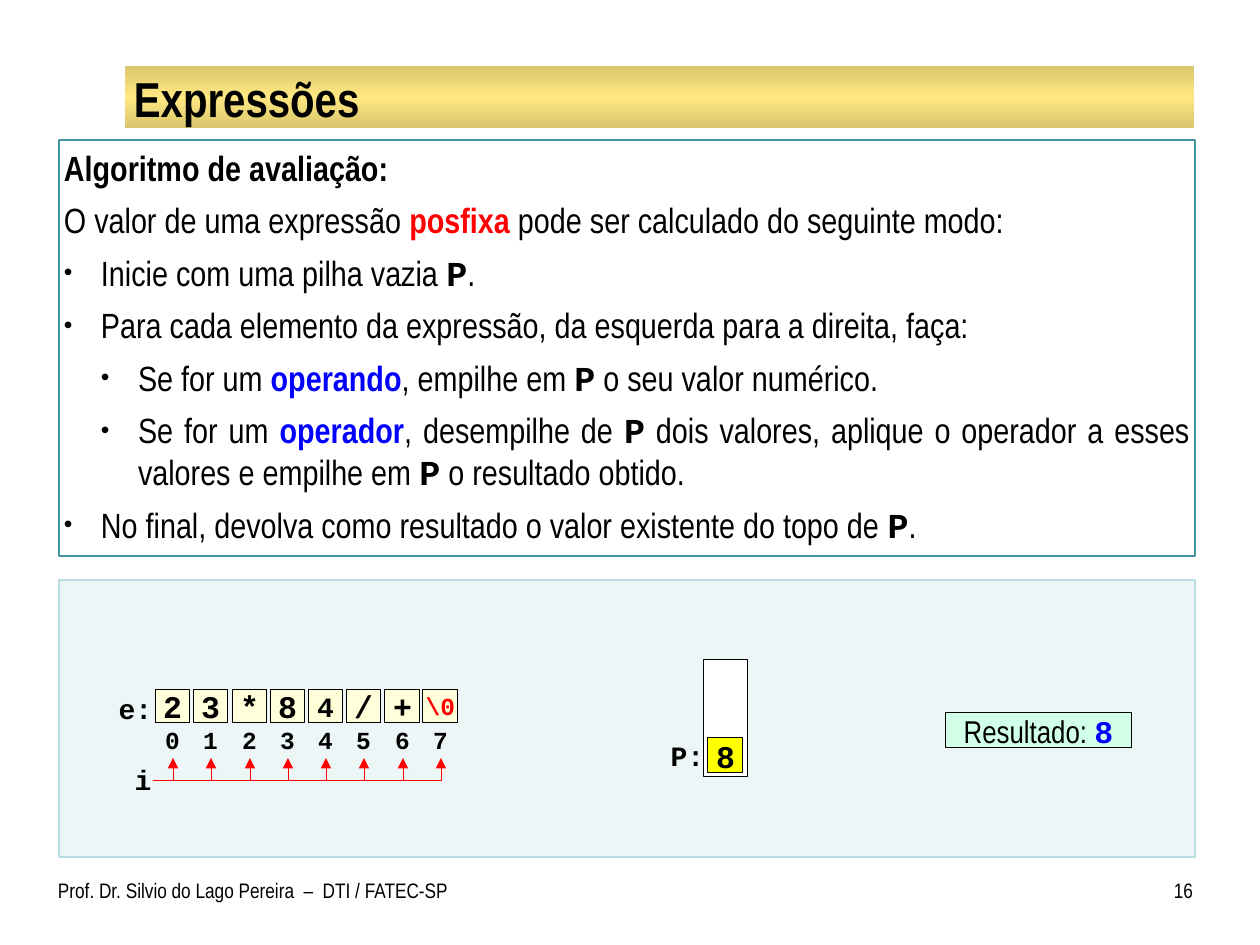
"""Build the slide on evaluating postfix expressions with a stack."""
from dataclasses import dataclass
from typing import Optional

from lxml.etree import SubElement
from pptx import Presentation
from pptx.dml.color import RGBColor
from pptx.enum.shapes import MSO_CONNECTOR, MSO_SHAPE
from pptx.enum.text import MSO_ANCHOR, MSO_AUTO_SIZE, PP_ALIGN
from pptx.oxml import parse_xml
from pptx.oxml.ns import nsdecls, qn
from pptx.util import Emu, Pt

PX = 914400 // 126
NARROW, MONO = "Arial Narrow", "Courier New"
COLORS = {
    "black": "000000", "white": "FFFFFF", "red": "FF0000", "blue": "0000FF",
    "gold": "DAC66E", "light_gold": "FFE781", "teal": "4597A0",
    "panel": "EDF6F7", "panel_edge": "BADDE1", "cell": "FFFFD9",
    "top": "FFFF00", "result": "D1FFE8",
}


@dataclass(frozen=True)
class Span:
    text: str
    size: int = 20
    font: str = NARROW
    color: str = "black"
    bold: bool = False


@dataclass(frozen=True)
class Step:
    spans: tuple[Span, ...]
    margin: int = 0
    hanging: int = 0


@dataclass(frozen=True)
class Box:
    left: int
    top: int
    width: int
    height: int
    fill: Optional[str] = None
    line: Optional[str] = None
    weight: float = 0.5


def px(*lengths: int) -> list[Emu]:
    return [Emu(length * PX) for length in lengths]


def rgb(name: str) -> RGBColor:
    return RGBColor.from_string(COLORS[name])


def code(text: str, size: int, color: str = "black") -> Span:
    return Span(text, size, MONO, color, True)


def write(paragraph, spans: tuple[Span, ...], align: PP_ALIGN) -> None:
    paragraph.alignment = align
    for span in spans:
        run = paragraph.add_run()
        run.text = span.text
        run.font.size = Pt(span.size)
        run.font.name = span.font
        run.font.bold = span.bold
        run.font.color.rgb = rgb(span.color)


def set_frame(frame, anchor: MSO_ANCHOR, left: int, top: int, right: int, bottom: int) -> None:
    frame.word_wrap = True
    frame.auto_size = MSO_AUTO_SIZE.NONE
    frame.vertical_anchor = anchor
    frame.margin_left, frame.margin_top, frame.margin_right, frame.margin_bottom = px(
        left, top, right, bottom)


def place(shape, box: Box) -> None:
    shape.left, shape.top, shape.width, shape.height = px(
        box.left, box.top, box.width, box.height)


def draw_box(slide, box: Box):
    area = px(box.left, box.top, box.width, box.height)
    if box.fill is None:
        return slide.shapes.add_textbox(*area)
    shape = slide.shapes.add_shape(MSO_SHAPE.RECTANGLE, *area)
    shape.shadow.inherit = False
    shape.fill.solid()
    shape.fill.fore_color.rgb = rgb(box.fill)
    if box.line is None:
        shape.line.fill.background()
    else:
        shape.line.color.rgb = rgb(box.line)
        shape.line.width = Pt(box.weight)
    return shape


def draw_label(slide, box: Box, *spans: Span) -> None:
    frame = draw_box(slide, box).text_frame
    set_frame(frame, MSO_ANCHOR.MIDDLE, 0, 4, 0, 4)
    frame.paragraphs[0].space_after = Pt(10)
    write(frame.paragraphs[0], spans, PP_ALIGN.CENTER)


def draw_footer(slide, box: Box, text: str, align: PP_ALIGN, left: int, right: int) -> None:
    frame = draw_box(slide, box).text_frame
    set_frame(frame, MSO_ANCHOR.TOP, left, 6, right, 6)
    write(frame.paragraphs[0], (Span(text, 12),), align)


def draw_pointer(slide, left: int, bottom: int, right: int, top: int) -> None:
    pointer = slide.shapes.add_connector(MSO_CONNECTOR.ELBOW, *px(left, bottom, right, top))
    pointer.line.color.rgb = rgb("red")
    pointer.line.width = Pt(0.25)
    properties = pointer.element.spPr
    properties.find(qn("a:prstGeom")).set("prst", "bentConnector2")
    SubElement(properties.find(qn("a:ln")), qn("a:tailEnd"), type="triangle")
    SubElement(properties, qn("a:effectLst"))


def draw_title(slide, text: str) -> None:
    title = slide.shapes.title
    band = draw_box(slide, Box(125, 66, 1069, 62, "gold"))
    stops = "".join(
        f'<a:gs pos="{position}"><a:srgbClr val="{COLORS[name]}"/></a:gs>'
        for position, name in ((0, "gold"), (50000, "light_gold"), (100000, "gold")))
    solid = band.element.spPr.find(qn("a:solidFill"))
    solid.getparent().replace(solid, parse_xml(
        f'<a:gradFill {nsdecls("a")} rotWithShape="1"><a:gsLst>{stops}</a:gsLst>'
        '<a:lin ang="5400000" scaled="1"/></a:gradFill>'))
    title.element.addprevious(band.element)
    place(title, Box(126, 68, 1067, 59))
    set_frame(title.text_frame, MSO_ANCHOR.MIDDLE, 8, 1, 8, 1)
    write(title.text_frame.paragraphs[0], (Span(text, 28, bold=True),), PP_ALIGN.LEFT)


def draw_algorithm(slide, steps: list[Step]) -> None:
    body = slide.placeholders[1]
    place(body, Box(59, 140, 1136, 416))
    body.line.color.rgb = rgb("teal")
    body.line.width = Pt(0.75)
    frame = body.text_frame
    set_frame(frame, MSO_ANCHOR.TOP, 5, 6, 5, 6)
    for index, step in enumerate(steps):
        paragraph = frame.add_paragraph() if index else frame.paragraphs[0]
        write(paragraph, step.spans, PP_ALIGN.JUSTIFY)
        paragraph.space_before = Pt(6 if index else 0)
        properties = paragraph.font._element.getparent()
        properties.set("marL", str(step.margin * PX))
        properties.set("indent", str(-step.hanging * PX))
        default_run = properties.find(qn("a:defRPr"))
        if step.hanging:
            default_run.addprevious(parse_xml(f'<a:buSzPct {nsdecls("a")} val="70000"/>'))
            default_run.addprevious(parse_xml(f'<a:buChar {nsdecls("a")} char="•"/>'))
        else:
            default_run.addprevious(parse_xml(f'<a:buNone {nsdecls("a")}/>'))


def main() -> None:
    deck = Presentation()
    deck.slide_width, deck.slide_height = px(1260, 945)
    slide = deck.slides.add_slide(deck.slide_layouts[1])
    stack = code("P", 20)
    draw_title(slide, "Expressões")
    draw_algorithm(slide, [
        Step((Span("Algoritmo de avaliação:", bold=True),)),
        Step((Span("O valor de uma expressão "), Span("posfixa", color="red", bold=True),
              Span(" pode ser calculado do seguinte modo:"))),
        Step((Span("Inicie com uma pilha vazia "), stack, Span(".")), 37, 37),
        Step((Span("Para cada elemento da expressão, da esquerda para a direita, faça:"),), 37, 37),
        Step((Span("Se for um "), Span("operando", color="blue", bold=True),
              Span(", empilhe em "), stack, Span(" o seu valor numérico.")), 74, 37),
        Step((Span("Se for um "), Span("operador", color="blue", bold=True),
              Span(", desempilhe de "), stack,
              Span(" dois valores, aplique o operador a esses valores e empilhe em "),
              stack, Span(" o resultado obtido.")), 74, 37),
        Step((Span("No final, devolva como resultado o valor existente do topo de "),
              stack, Span(".")), 37, 37),
    ])
    draw_box(slide, Box(59, 580, 1136, 277, "panel", "panel_edge", 0.75))
    draw_label(slide, Box(118, 691, 35, 35), code("e:", 16))
    draw_label(slide, Box(133, 762, 20, 35), code("i", 16))
    sizes, tints = {"4": 16, "\\0": 14}, {"\\0": "red"}
    for index, symbol in enumerate(("2", "3", "*", "8", "4", "/", "+", "\\0")):
        left = round(155 + index * 38.3)
        draw_label(slide, Box(left, 689, 35, 34, "cell", "black"),
                   code(symbol, sizes.get(symbol, 18), tints.get(symbol, "black")))
        draw_label(slide, Box(left, 723, 35, 34), code(str(index), 14))
        draw_pointer(slide, 153, 780, left + 18, 758)
    draw_box(slide, Box(703, 659, 45, 118, "white", "black"))
    draw_label(slide, Box(708, 738, 35, 35, "top", "black"), code("8", 18))
    draw_label(slide, Box(670, 738, 35, 35), code("P:", 16))
    draw_label(slide, Box(945, 713, 187, 35, "result", "black"),
               Span("Resultado: ", 18), code("8", 18, "blue"))
    draw_footer(slide, Box(58, 872, 412, 53),
                "Prof. Dr. Silvio do Lago Pereira  –  DTI / FATEC-SP", PP_ALIGN.LEFT, 0, 13)
    draw_footer(slide, Box(1144, 872, 49, 53), "16", PP_ALIGN.RIGHT, 13, 0)
    deck.save("out.pptx")


main()
